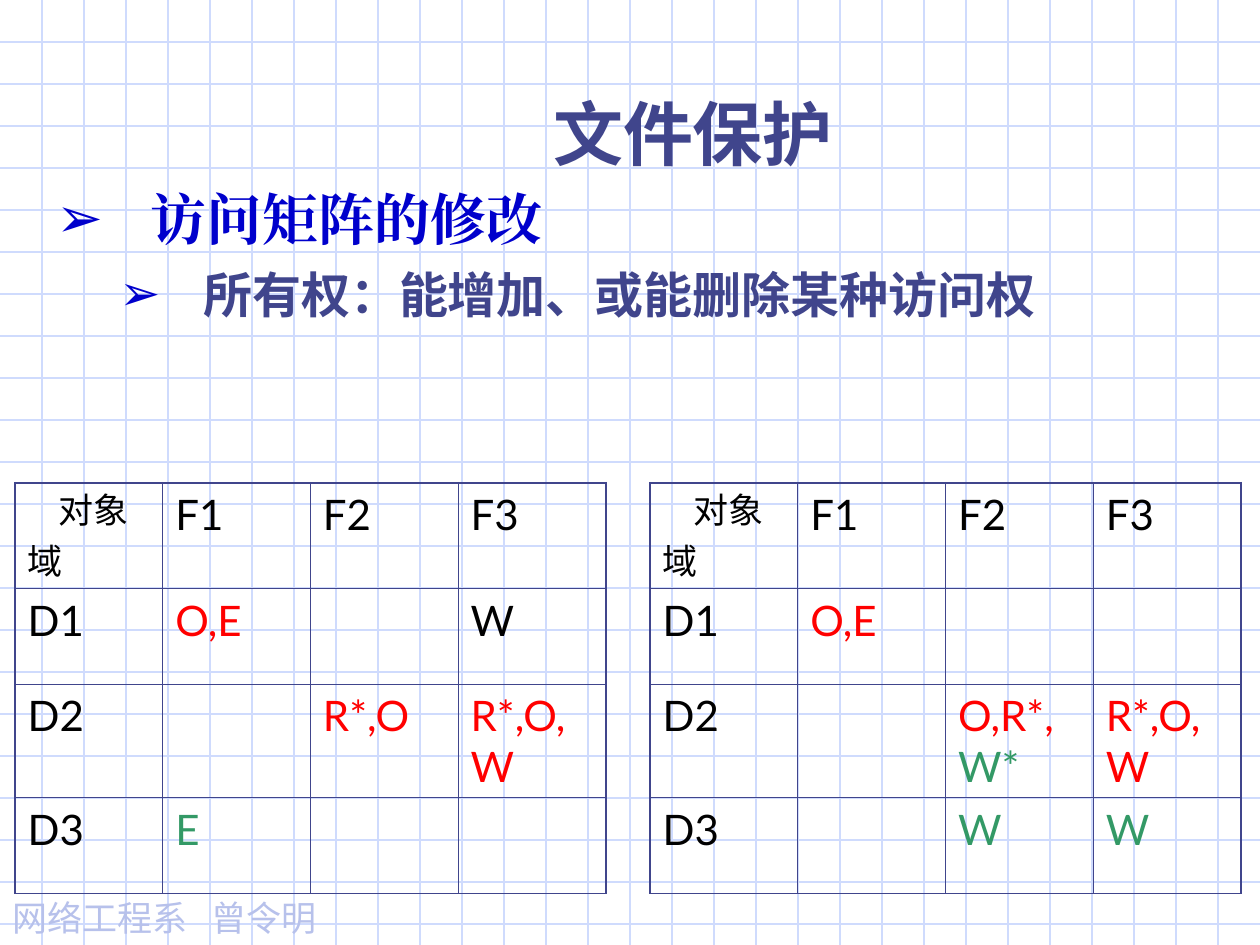
from dataclasses import dataclass

from lxml import etree
from pptx import Presentation
from pptx.dml.color import RGBColor
from pptx.enum import shapes, text
from pptx.oxml import ns
from pptx.util import Pt


@dataclass(frozen=True)
class Theme:
    grid: str = "CFDBFD"
    ink: str = "40458C"
    blue: str = "0000CC"
    footer: str = "B7C1EB"
    black: str = "000000"
    red: str = "FF0000"
    green: str = "339966"
    latin: str = "Lato"
    serif: str = "Times New Roman"
    cjk: str = "Noto Sans CJK JP"
    title_size: int = 40
    body_sizes: tuple = (32, 28)
    cell_size: int = 24
    small_size: int = 20
    grid_line: float = 0.75
    outer_line: float = 1.08
    inner_line: float = 0.45


class SlideBuilder:
    def __init__(self, prs, theme):
        self.prs, self.t = prs, theme
        self.s = prs.slides.add_slide(prs.slide_layouts[1])

    def run(self, p, words, size, color, font, bold=False):
        r = p.add_run()
        r.text = words
        r.font.size, r.font.bold, r.font.name = Pt(size), bold, font
        r.font.color.rgb = RGBColor.from_string(color)
        ea = etree.SubElement(r.font._element, ns.qn("a:ea"))
        ea.set("typeface", font)

    def place(self, sp, left, top, width, height, anchor):
        sp.left, sp.top, sp.width, sp.height = map(Pt, (left, top, width, height))
        tf = sp.text_frame
        tf.word_wrap, tf.vertical_anchor = True, anchor
        tf.auto_size = text.MSO_AUTO_SIZE.NONE
        return tf

    def grid(self, step):
        w, h = self.prs.slide_width.pt, self.prs.slide_height.pt
        rows = [(0, y, w, y) for y in range(step, int(h), step)]
        cols = [(x, 0, x, h) for x in range(step, int(w), step)]
        tree = self.s.shapes._spTree
        for i, ends in enumerate(rows + cols):
            c = self.s.shapes.add_connector(
                shapes.MSO_CONNECTOR.STRAIGHT, *map(Pt, ends))
            c.line.width = Pt(self.t.grid_line)
            c.line.color.rgb = RGBColor.from_string(self.t.grid)
            etree.SubElement(c._element.spPr, ns.qn("a:effectLst"))
            tree.insert(2 + i, c._element)  # behind the placeholders

    def title(self, words, *box):
        tf = self.place(self.s.shapes.title, *box, text.MSO_ANCHOR.MIDDLE)
        p = tf.paragraphs[0]
        p.alignment = text.PP_ALIGN.CENTER
        self.run(p, words, self.t.title_size, self.t.ink, self.t.cjk, True)

    def bullets(self, items, *box):
        tf = self.place(self.s.placeholders[1], *box, text.MSO_ANCHOR.TOP)
        for i, (words, size, color, font, margin, hang) in enumerate(items):
            p = tf.add_paragraph() if i else tf.paragraphs[0]
            p.level = i
            p.space_before = Pt(7 if i else 0)
            pPr = p._p.get_or_add_pPr()
            pPr.set("marL", str(Pt(margin)))
            pPr.set("indent", str(Pt(-hang)))
            clr = etree.SubElement(pPr, ns.qn("a:buClr"))
            etree.SubElement(clr, ns.qn("a:srgbClr")).set("val", self.t.blue)
            etree.SubElement(pPr, ns.qn("a:buChar")).set("char", "➢")
            self.run(p, words, size, color, font, True)

    def footer(self, words, tab, *box):
        sp = self.s.shapes.add_textbox(0, 0, 0, 0)
        p = self.place(sp, *box, text.MSO_ANCHOR.TOP).paragraphs[0]
        tabs = etree.SubElement(p._p.get_or_add_pPr(), ns.qn("a:tabLst"))
        stop = etree.SubElement(tabs, ns.qn("a:tab"))
        stop.set("pos", str(Pt(tab)))
        stop.set("algn", "l")
        self.run(p, words, self.t.small_size, self.t.footer, self.t.cjk)

    def borders(self, cell, outer):
        tcPr = cell._tc.get_or_add_tcPr()
        for i, side in enumerate("LRTB"):
            width = self.t.outer_line if side in outer else self.t.inner_line
            ln = etree.Element(ns.qn(f"a:ln{side}"), w=str(Pt(width)))
            fill = etree.SubElement(ln, ns.qn("a:solidFill"))
            etree.SubElement(fill, ns.qn("a:srgbClr")).set("val", self.t.ink)
            tcPr.insert(i, ln)

    def corner(self, cell):
        # Column heading is indented, row heading sits below it
        for i, (words, indent) in enumerate((("对象", 17.7), ("域", 0))):
            p = cell.text_frame.add_paragraph() if i else cell.text_frame.paragraphs[0]
            p.space_before = Pt(5 if i else 0)
            p._p.get_or_add_pPr().set("indent", str(Pt(indent)))
            self.run(p, words, self.t.small_size, self.t.black, self.t.latin)

    def matrix(self, left, top, col_width, heights, entries):
        n = len(heights)
        tbl = self.s.shapes.add_table(
            n, n, Pt(left), Pt(top), Pt(col_width * n), Pt(sum(heights))).table
        tbl.first_row = tbl.horz_banding = False
        for i, height in enumerate(heights):
            tbl.columns[i].width, tbl.rows[i].height = Pt(col_width), Pt(height)
        for i in range(n):
            for j in range(n):
                cell = tbl.cell(i, j)
                cell.fill.background()
                edges = {"L": j == 0, "R": j == n - 1, "T": i == 0, "B": i == n - 1}
                self.borders(cell, [side for side, on in edges.items() if on])
                if i == j == 0:
                    self.corner(cell)
                    continue
                if i == 0 or j == 0:
                    runs = [(f"F{j}" if i == 0 else f"D{i}", self.t.black)]
                else:
                    runs = entries.get((i, j), [])
                p = cell.text_frame.paragraphs[0]
                for words, color in runs:
                    self.run(p, words, self.t.cell_size, color, self.t.latin)


def main():
    prs = Presentation()
    prs.slide_width, prs.slide_height = Pt(720), Pt(540)
    t = Theme()
    b = SlideBuilder(prs, t)

    # Background grid, heading and list
    b.grid(24)
    b.footer("网络工程系\t曾令明", 114, 0, 509, 192, 32)
    b.bullets([
        ("访问矩阵的修改", t.body_sizes[0], t.blue, t.serif, 54, 54),
        ("所有权：能增加、或能删除某种访问权", t.body_sizes[1], t.ink, t.latin, 84, 48),
    ], 25, 102, 680, 117)
    b.title("文件保护", 102, 48, 588, 55.5)

    # Access matrix before and after the change
    before = {
        (1, 1): [("O,E", t.red)],
        (1, 3): [("W", t.black)],
        (2, 2): [("R*,O", t.red)],
        (2, 3): [("R*,O,W", t.red)],
        (3, 1): [("E", t.green)],
    }
    after = {
        (1, 1): [("O,E", t.red)],
        (2, 2): [("O,R*,", t.red), ("W*", t.green)],
        (2, 3): [("R*,O,W", t.red)],
        (3, 2): [("W", t.green)],
        (3, 3): [("W", t.green)],
    }
    for left, entries in ((8.6, before), (371.5, after)):
        b.matrix(left, 275.8, 84.4, (60.5, 54.7, 64.8, 54.7), entries)

    prs.save("out.pptx")


if __name__ == "__main__":
    main()
